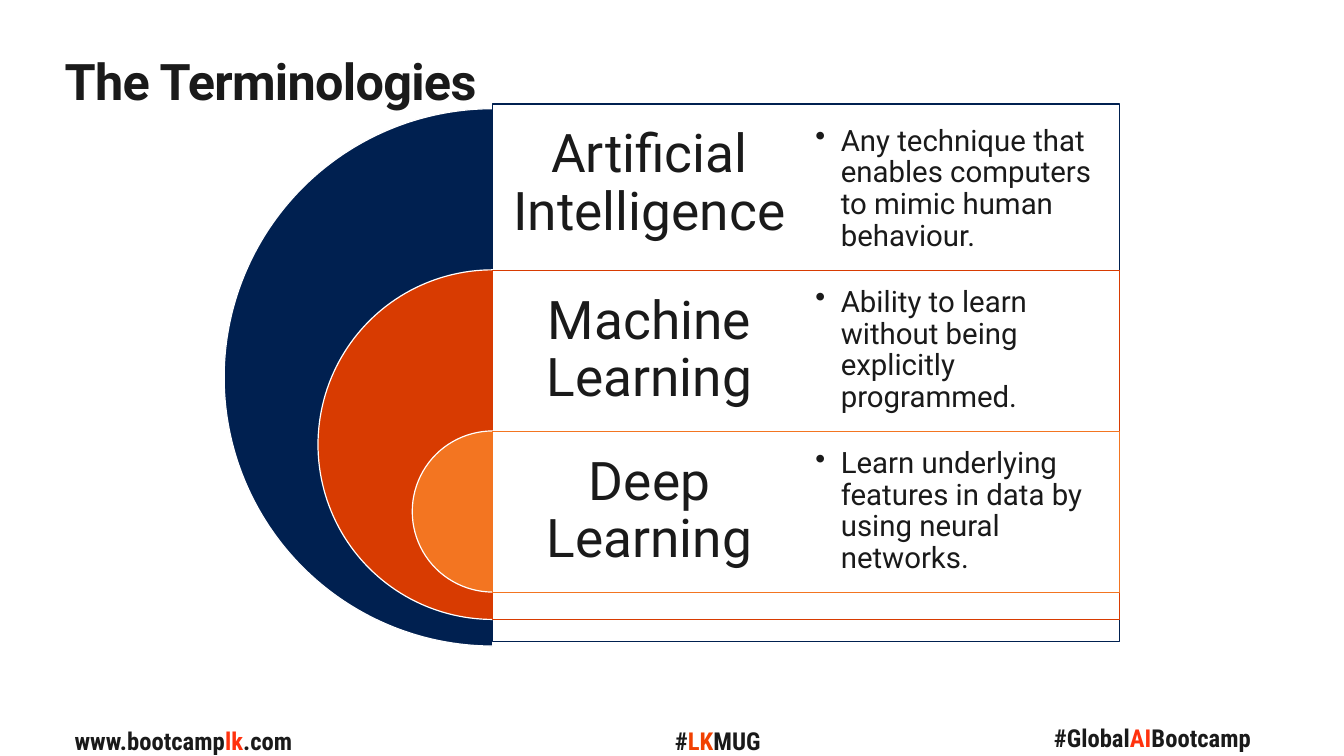
import pptx
import pptx.util
import pptx.dml.color
import pptx.enum.shapes
import pptx.enum.text
import pptx.oxml
import pptx.oxml.ns

Cm, Pt = pptx.util.Cm, pptx.util.Pt
ALIGN = pptx.enum.text.PP_ALIGN
ANCHOR = pptx.enum.text.MSO_ANCHOR
SHAPE = pptx.enum.shapes.MSO_SHAPE

INK, RED, ORANGE, WHITE = "1A1A1A", "FF320E", "F14001", "FFFFFF"
LABEL_FONT = {"name": "Roboto", "size": Pt(38)}
DETAIL_FONT = {"name": "Roboto", "size": Pt(21)}
TITLE_FONT = {"name": "Roboto", "size": Pt(36), "bold": True}
FOOTER_FONT = {"name": "Roboto Condensed", "size": Pt(17.6), "bold": True}

# Name, definition, colour, circle diameter, panel top and height (cm)
TERMS = [
    ("Artificial Intelligence",
     "Any technique that enables computers to mimic human behaviour.",
     "002050", 13.54, 2.62, 13.54),
    ("Machine Learning",
     "Ability to learn without being explicitly programmed.",
     "D83B01", 8.81, 6.81, 8.81),
    ("Deep Learning",
     "Learn underlying features in data by using neural networks.",
     "F37521", 4.06, 10.87, 4.06),
]
ROW_HEIGHT = 4.06

# Left, top, width, wrap, coloured pieces of text
FOOTERS = [
    (1.63, 18.16, 8.89, True,
     [("www.bootcamp", INK), ("lk", RED), (".com", INK)]),
    (26.31, 18.08, 5.69, False,
     [("#Global", INK), ("AI", RED), ("Bootcamp", INK)]),
    (16.76, 18.16, 2.74, False,
     [("#", INK), ("LK", ORANGE), ("MUG", INK)]),
]


def colour(value):
    return pptx.dml.color.RGBColor.from_string(value)


def apply_format(target, values):
    for name, value in values.items():
        setattr(target, name, value)


def add_run(paragraph, text, font, text_colour=INK):
    run = paragraph.add_run()
    run.text = text
    apply_format(run.font, font)
    run.font.color.rgb = colour(text_colour)
    return run


def add_text_box(slide, left, top, width, height, frame_format, margin=None):
    box = slide.shapes.add_textbox(Cm(left), Cm(top), Cm(width), Cm(height))
    frame = box.text_frame
    apply_format(frame, frame_format)
    if margin is not None:
        for side in ("left", "top", "right", "bottom"):
            setattr(frame, f"margin_{side}", Cm(margin))
    return frame.paragraphs[0]


def add_filled_shape(slide, kind, left, top, width, height, fill, line):
    shape = slide.shapes.add_shape(kind, Cm(left), Cm(top), Cm(width), Cm(height))
    shape.shadow.inherit = False
    shape.fill.solid()
    shape.fill.fore_color.rgb = colour(fill)
    shape.line.color.rgb = colour(line)
    shape.line.width = Pt(0.85)
    return shape


def add_bullet(paragraph, indent):
    properties = paragraph._p.get_or_add_pPr()
    properties.set("marL", str(Cm(indent)))
    properties.set("indent", str(-Cm(indent)))
    bullet = pptx.oxml.parse_xml(
        f'<a:buChar {pptx.oxml.ns.nsdecls("a")} char="•"/>')
    properties.append(bullet)


def add_title(slide, text, left, top, width, height):
    title = slide.shapes.title
    apply_format(title, {"left": Cm(left), "top": Cm(top),
                         "width": Cm(width), "height": Cm(height)})
    frame = title.text_frame
    apply_format(frame, {"margin_left": 0, "margin_top": 0, "margin_right": 0,
                         "margin_bottom": 0, "vertical_anchor": ANCHOR.TOP,
                         "auto_size": pptx.enum.text.MSO_AUTO_SIZE.NONE,
                         "word_wrap": True})
    paragraph = frame.paragraphs[0]
    apply_format(paragraph, {"alignment": ALIGN.LEFT, "space_before": Pt(0)})
    run = add_run(paragraph, text, TITLE_FONT)
    run.font._element.set("spc", "-50")


def add_nested_terms(slide, axis, top, width):
    """Stack half circles left of the axis and text panels right of it."""
    column = width / 2
    middle = {"word_wrap": True, "vertical_anchor": ANCHOR.MIDDLE}
    for row, (name, detail, fill, diameter, panel_top, panel_height) in enumerate(TERMS):
        row_top = top + row * ROW_HEIGHT

        # Half circle
        pie = add_filled_shape(slide, SHAPE.PIE, axis - diameter / 2, row_top,
                               diameter, diameter, fill, WHITE)
        pie.adjustments[0], pie.adjustments[1] = 54, 162

        # Translucent panel
        panel = add_filled_shape(slide, SHAPE.RECTANGLE, axis, panel_top,
                                 width, panel_height, WHITE, fill)
        solid = panel._element.spPr.find(pptx.oxml.ns.qn("a:solidFill"))
        solid[0].append(pptx.oxml.parse_xml(
            f'<a:alpha {pptx.oxml.ns.nsdecls("a")} val="90000"/>'))

        # Term name
        paragraph = add_text_box(slide, axis, panel_top, column, ROW_HEIGHT, middle, 0.4)
        apply_format(paragraph, {"alignment": ALIGN.CENTER, "line_spacing": 0.9})
        add_run(paragraph, name, LABEL_FONT)

        # Definition
        paragraph = add_text_box(slide, axis + column, row_top, column,
                                 ROW_HEIGHT, middle, 0.23)
        add_bullet(paragraph, 0.64)
        paragraph.line_spacing = 0.9
        add_run(paragraph, detail, DETAIL_FONT)


def add_footers(slide, height):
    for left, top, width, wrap, pieces in FOOTERS:
        paragraph = add_text_box(slide, left, top, width, height, {"word_wrap": wrap})
        for text, text_colour in pieces:
            add_run(paragraph, text, FOOTER_FONT, text_colour)


def main():
    presentation = pptx.Presentation()
    presentation.slide_width = Cm(33.87)
    presentation.slide_height = Cm(19.05)
    slide = presentation.slides.add_slide(presentation.slide_layouts[5])
    add_footers(slide, height=1.02)
    add_title(slide, "The Terminologies", 1.63, 1.27, 30.6, 1.55)
    add_nested_terms(slide, axis=12.42, top=2.74, width=15.8)
    presentation.save("out.pptx")


if __name__ == "__main__":
    main()
